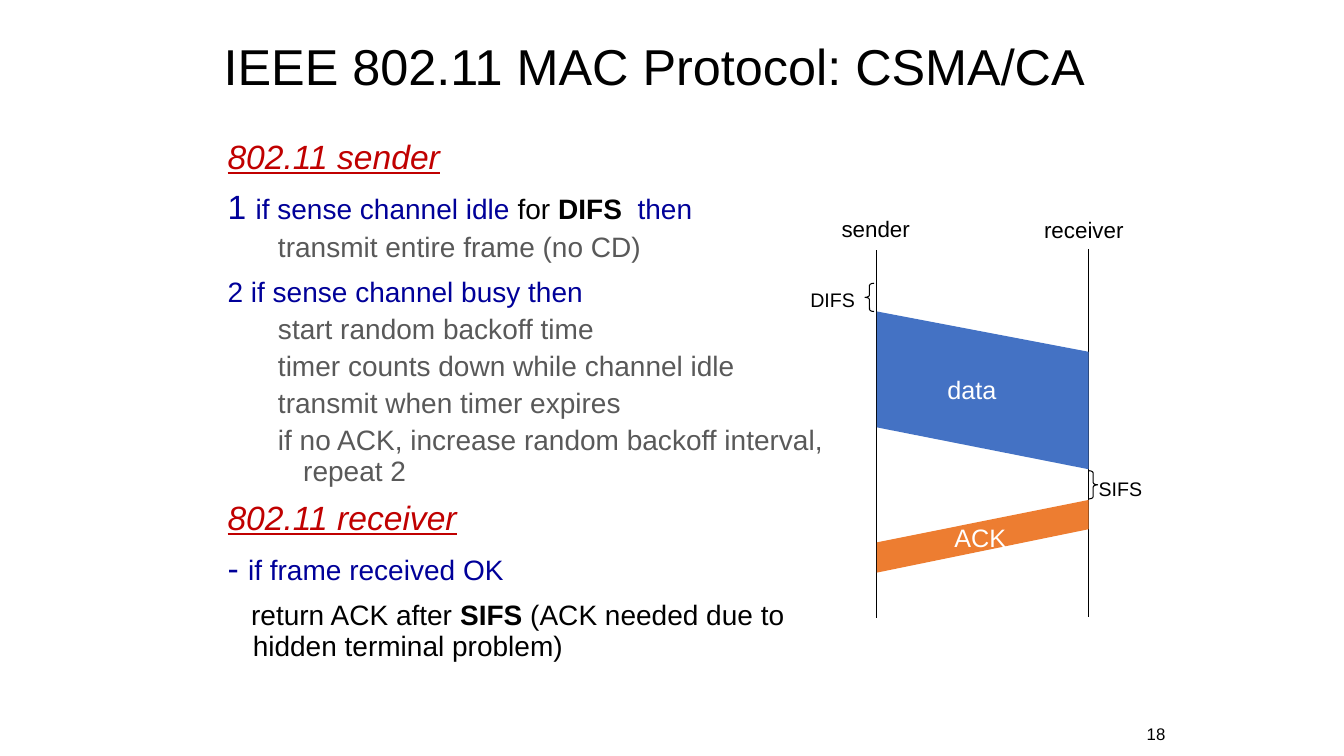
from pptx import Presentation
from pptx import util as u
from pptx.dml.color import RGBColor
from pptx.enum import shapes, text
from pptx.oxml.xmlchemy import OxmlElement

BLACK, WHITE = "000000", "FFFFFF"
RED, NAVY, GREY = "C00000", "000099", "595959"
BLUE, ORANGE = "4472C4", "ED7D31"


def rgb(code):
    return RGBColor.from_string(code)


def apply(target, formats):
    for name, value in formats.items():
        setattr(target, name, value)


class ProtocolSlide:
    font = "Arial"
    line_width = u.Pt(0.75)

    def __init__(self, deck):
        self.slide = deck.slides.add_slide(deck.slide_layouts[5])
        self.shapes = self.slide.shapes

    def run(self, paragraph, words, size, color=BLACK, **formats):
        run = paragraph.add_run()
        run.text = words
        apply(run.font, {"name": self.font, "size": u.Pt(size), **formats})
        run.font.color.rgb = rgb(color)

    def title(self, words, left, top, width, height):
        title = self.shapes.title
        apply(title, {"left": u.Pt(left), "top": u.Pt(top),
                      "width": u.Pt(width), "height": u.Pt(height)})
        apply(title.text_frame, {"vertical_anchor": text.MSO_ANCHOR.MIDDLE,
                                 "word_wrap": True})
        heading = title.text_frame.paragraphs[0]
        apply(heading, {"alignment": text.PP_ALIGN.LEFT, "line_spacing": 0.9})
        self.run(heading, words, 36)

    def frame(self, left, top, width, height, **formats):
        box = self.shapes.add_textbox(*map(u.Pt, (left, top, width, height)))
        apply(box.text_frame, formats)
        return box.text_frame

    def label(self, words, left, top, width, height, size, color=BLACK):
        frame = self.frame(left, top, width, height, word_wrap=False,
                           auto_size=text.MSO_AUTO_SIZE.SHAPE_TO_FIT_TEXT)
        self.run(frame.paragraphs[0], words, size, color)

    def page_number(self, number, left, top, width, height):
        frame = self.frame(left, top, width, height, word_wrap=True,
                           vertical_anchor=text.MSO_ANCHOR.MIDDLE)
        frame.paragraphs[0].alignment = text.PP_ALIGN.RIGHT
        self.run(frame.paragraphs[0], number, 12)

    def outline(self, steps, left, top, width, height):
        frame = self.frame(left, top, width, height, word_wrap=True)
        for index, (level, margin, indent, runs) in enumerate(steps):
            paragraph = frame.add_paragraph() if index else frame.paragraphs[0]
            properties = paragraph._p.get_or_add_pPr()
            properties.set("marL", str(u.Pt(margin)))
            properties.set("indent", str(u.Pt(indent)))
            apply(paragraph, {"level": level, "line_spacing": 0.9})
            if index:
                paragraph.space_before = u.Pt(5 if level else 10)
            for words, size, color, formats in runs:
                self.run(paragraph, words, size, color, **formats)

    def timeline(self, x, top, bottom):
        line = self.shapes.add_connector(
            shapes.MSO_CONNECTOR.STRAIGHT, *map(u.Pt, (x, top, x, bottom)))
        line.line.color.rgb = rgb(BLACK)
        line.line.width = self.line_width
        line._element.spPr.append(OxmlElement("a:effectLst"))

    def brace(self, kind, left, top, width, height):
        brace = self.shapes.add_shape(
            kind, *map(u.Pt, (left, top, width, height)))
        brace.shadow.inherit = False
        brace.fill.background()
        brace.line.color.rgb = rgb(BLACK)
        brace.line.width = self.line_width
        brace.adjustments[0], brace.adjustments[1] = 0.25, 0.5

    def band(self, corners, color):
        start, *rest = [tuple(map(u.Pt, corner)) for corner in corners]
        builder = self.shapes.build_freeform(*start)
        builder.add_line_segments(rest, close=True)
        band = builder.convert_to_shape()
        band.shadow.inherit = False
        band.fill.solid()
        band.fill.fore_color.rgb = rgb(color)
        band.line.fill.background()


def heading(words):
    return 0, 18, -18, [(words, 24, RED, {"italic": True, "underline": True})]


def condition(*runs):
    return 0, 18, -18, runs


def action(words):
    return 1, 54, -18, [(words, 20, GREY, {})]


def main():
    deck = Presentation()
    deck.slide_width, deck.slide_height = u.Pt(960), u.Pt(540)
    protocol = ProtocolSlide(deck)
    protocol.title("IEEE 802.11 MAC Protocol: CSMA/CA", 152.6, 12.2, 647.3, 74.9)
    bold = {"bold": True}
    protocol.outline([
        heading("802.11 sender"),
        condition(("1 ", 24, NAVY, {}),
                  ("if sense channel idle", 20, NAVY, {}),
                  (" for ", 20, BLACK, {}),
                  ("DIFS  ", 20, BLACK, bold),
                  ("then", 20, NAVY, {})),
        action("transmit entire frame (no CD)"),
        condition(("2 if sense channel busy then", 20, NAVY, {})),
        action("start random backoff time"),
        action("timer counts down while channel idle"),
        action("transmit when timer expires"),
        action("if no ACK, increase random backoff interval, repeat 2"),
        heading("802.11 receiver"),
        condition(("- ", 24, NAVY, {}), ("if frame received OK", 20, NAVY, {})),
        (0, 18, -1.2, [
            ("return ACK after ", 20, BLACK, {}),
            ("SIFS ", 20, BLACK, bold),
            ("(ACK needed due to hidden terminal problem)", 20, BLACK, {})]),
    ], 155.5, 96.5, 443.5, 390.2)

    sender, receiver = 626.4, 777.6
    protocol.timeline(sender, 178.6, 441.4)
    protocol.timeline(receiver, 177.8, 440.6)
    protocol.label("sender", 594, 150.5, 65.5, 26.6, 16)
    protocol.label("receiver", 738.7, 151.2, 72, 26.6, 16)

    protocol.brace(shapes.MSO_SHAPE.LEFT_BRACE, 617.8, 202.3, 6.5, 20.2)
    protocol.label("DIFS", 571.7, 202.3, 46.8, 24.5, 14)
    protocol.band([(sender, 222.5), (receiver, 251.3),
                   (receiver, 335.2), (sender, 305.3)], BLUE)
    protocol.label("data", 669.6, 263.5, 49.7, 28.8, 18, WHITE)

    protocol.label("SIFS", receiver, 337, 46.1, 24.5, 14)
    protocol.brace(shapes.MSO_SHAPE.RIGHT_BRACE, receiver, 336.2, 6.5, 20.2)
    protocol.band([(sender, 387.4), (receiver, 357.1),
                   (receiver, 378), (sender, 409)], ORANGE)
    protocol.label("ACK", 674.6, 369.4, 51.8, 28.8, 18, WHITE)
    protocol.page_number("18", 785.5, 513.4, 54, 21.6)
    deck.save("out.pptx")


if __name__ == "__main__":
    main()
